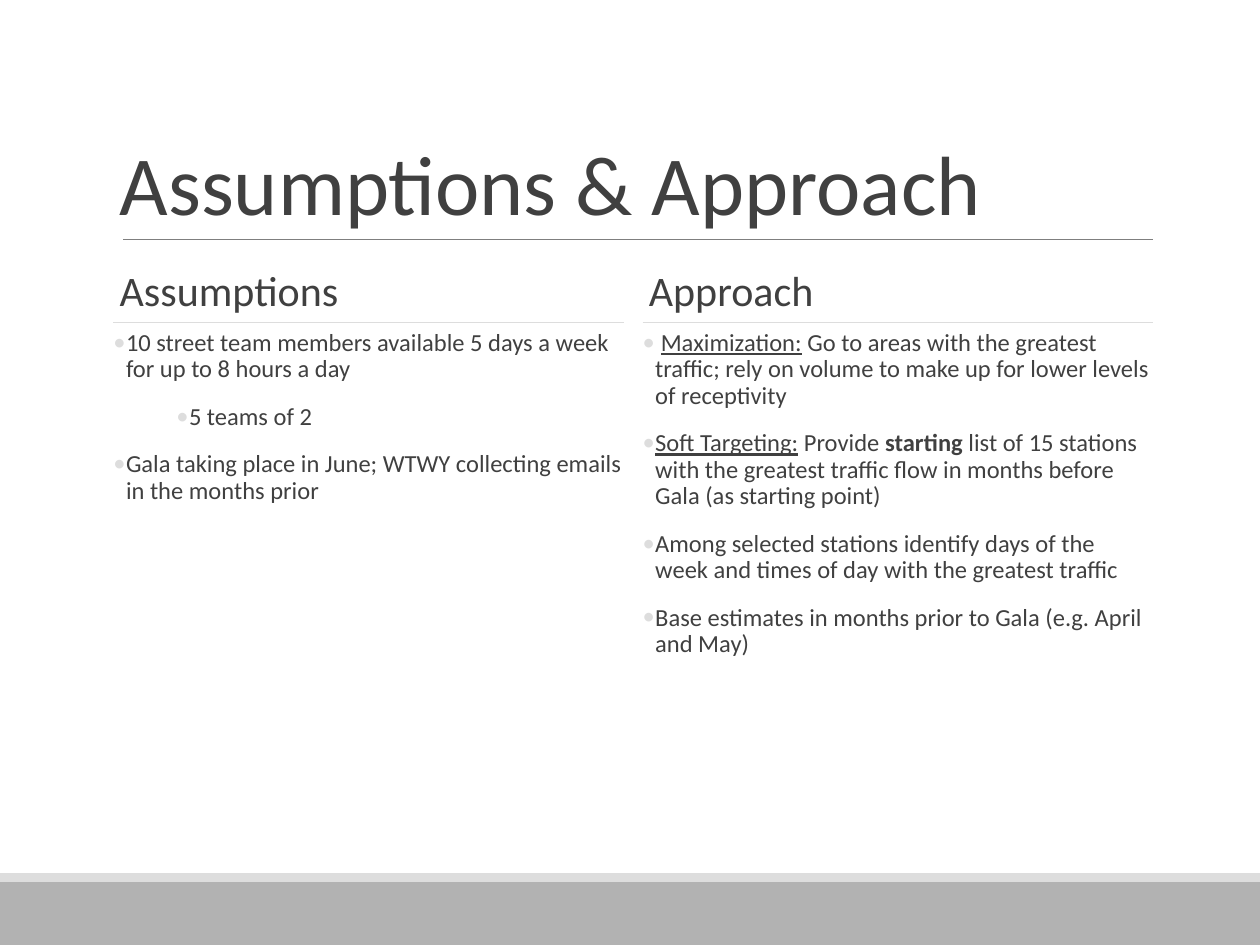
from lxml import etree
from pptx import Presentation, util as u
from pptx.dml.color import RGBColor
from pptx.enum import shapes, text
from pptx.oxml.ns import qn

WIDTH, HEIGHT = 10, 7.5
LEFT, COLUMN, GUTTER = 0.9, 4.05, 0.15
RIGHT = LEFT + 2 * COLUMN + GUTTER
INK, PALE, GREY, RULE = "404040", "DDDDDD", "B2B2B2", "7F7F7F"

# Each bullet is a level and its runs; a run is its words and a style:
# "" plain, "u" underlined, "b" bold.
COLUMNS = [
    ("Assumptions", [
        (0, [("10 street team members available 5 days a week for up to 8 hours a day", "")]),
        (1, [("5 teams of 2", "")]),
        (0, [("Gala taking place in June; WTWY collecting emails in the months prior", "")]),
    ]),
    ("Approach", [
        (0, [(" ", ""), ("Maximization:", "u"),
             (" Go to areas with the greatest traffic; rely on volume to make up "
              "for lower levels of receptivity", "")]),
        (0, [("Soft Targeting:", "u"), (" Provide ", ""), ("starting", "b"),
             (" list of 15 stations with the greatest traffic flow in months before "
              "Gala (as starting point)", "")]),
        (0, [("Among selected stations identify days of the week and times of day "
              "with the greatest traffic", "")]),
        (0, [("Base estimates in months prior to Gala (e.g. April and May)", "")]),
    ]),
]


def color(hex_code):
    return RGBColor.from_string(hex_code)


def add_band(slide, top, height, fill):
    band = slide.shapes.add_shape(shapes.MSO_SHAPE.RECTANGLE, 0, u.Inches(top),
                                  u.Inches(WIDTH), u.Inches(height))
    band.shadow.inherit = False
    band.fill.solid()
    band.fill.fore_color.rgb = color(fill)
    band.line.fill.background()


def add_rule(slide, left, right, y, stroke, weight):
    rule = slide.shapes.add_connector(shapes.MSO_CONNECTOR.STRAIGHT, u.Inches(left),
                                      u.Inches(y), u.Inches(right), u.Inches(y))
    rule.line.color.rgb = color(stroke)
    rule.line.width = u.Pt(weight)
    etree.SubElement(rule._element.spPr, qn("a:effectLst"))


def set_frame(frame, inset, anchor):
    frame.word_wrap = True
    frame.auto_size = text.MSO_AUTO_SIZE.NONE
    frame.vertical_anchor = anchor
    frame.margin_left = frame.margin_right = u.Inches(inset)
    frame.margin_top = frame.margin_bottom = u.Inches(inset)


def style_paragraph(paragraph, size, spacing):
    paragraph.alignment = text.PP_ALIGN.LEFT
    paragraph.line_spacing = spacing
    paragraph.font.size = u.Pt(size)
    paragraph.font.name = "Calibri"
    paragraph.font.color.rgb = color(INK)


def set_heading(shape, words, size):
    set_frame(shape.text_frame, 0.05, text.MSO_ANCHOR.BOTTOM)
    shape.text_frame.text = words
    style_paragraph(shape.text_frame.paragraphs[0], size, 0.85)


def add_text_box(slide, left, top, height):
    return slide.shapes.add_textbox(u.Inches(left), u.Inches(top),
                                    u.Inches(COLUMN), u.Inches(height))


def set_bullet(paragraph, level):
    paragraph.level = level
    paragraph.space_before = u.Pt(12)
    properties = paragraph._p.get_or_add_pPr()
    properties.set("marL", str(u.Inches(0.1 + 0.5 * level)))
    properties.set("indent", str(u.Inches(-0.1)))
    bullet_color = etree.SubElement(properties, qn("a:buClr"))
    etree.SubElement(bullet_color, qn("a:srgbClr"), val=PALE)
    etree.SubElement(properties, qn("a:buFont"), typeface="Calibri")
    etree.SubElement(properties, qn("a:buChar"), char="•")


def add_bullets(slide, left, bullets):
    frame = add_text_box(slide, left, 2.62, 4.2).text_frame
    set_frame(frame, 0, text.MSO_ANCHOR.TOP)
    for index, (level, runs) in enumerate(bullets):
        paragraph = frame.add_paragraph() if index else frame.paragraphs[0]
        set_bullet(paragraph, level)
        style_paragraph(paragraph, 14, 0.9)
        for words, style in runs:
            run = paragraph.add_run()
            run.text = words
            if style == "u":
                run.font.underline = True
            elif style == "b":
                run.font.bold = True


def add_column(slide, left, heading, bullets):
    add_bullets(slide, left, bullets)
    set_heading(add_text_box(slide, left, 2.05, 0.5), heading, 24)
    add_rule(slide, left, left + COLUMN, 2.56, PALE, 1)


def set_title(slide, words):
    title = slide.shapes.title
    title.left, title.top = u.Inches(LEFT), u.Inches(0.31)
    title.width, title.height = u.Inches(RIGHT - LEFT), u.Inches(1.59)
    set_heading(title, words, 48)


def main():
    deck = Presentation()
    deck.slide_width, deck.slide_height = u.Inches(WIDTH), u.Inches(HEIGHT)
    slide = deck.slides.add_slide(deck.slide_layouts[5])
    add_band(slide, 7, HEIGHT - 7, GREY)
    add_band(slide, 6.93, 0.07, PALE)
    add_rule(slide, 0.98, RIGHT, 1.9, RULE, 0.5)
    set_title(slide, "Assumptions & Approach")
    for index, (heading, bullets) in enumerate(COLUMNS):
        add_column(slide, LEFT + index * (COLUMN + GUTTER), heading, bullets)
    deck.save("out.pptx")


if __name__ == "__main__":
    main()
